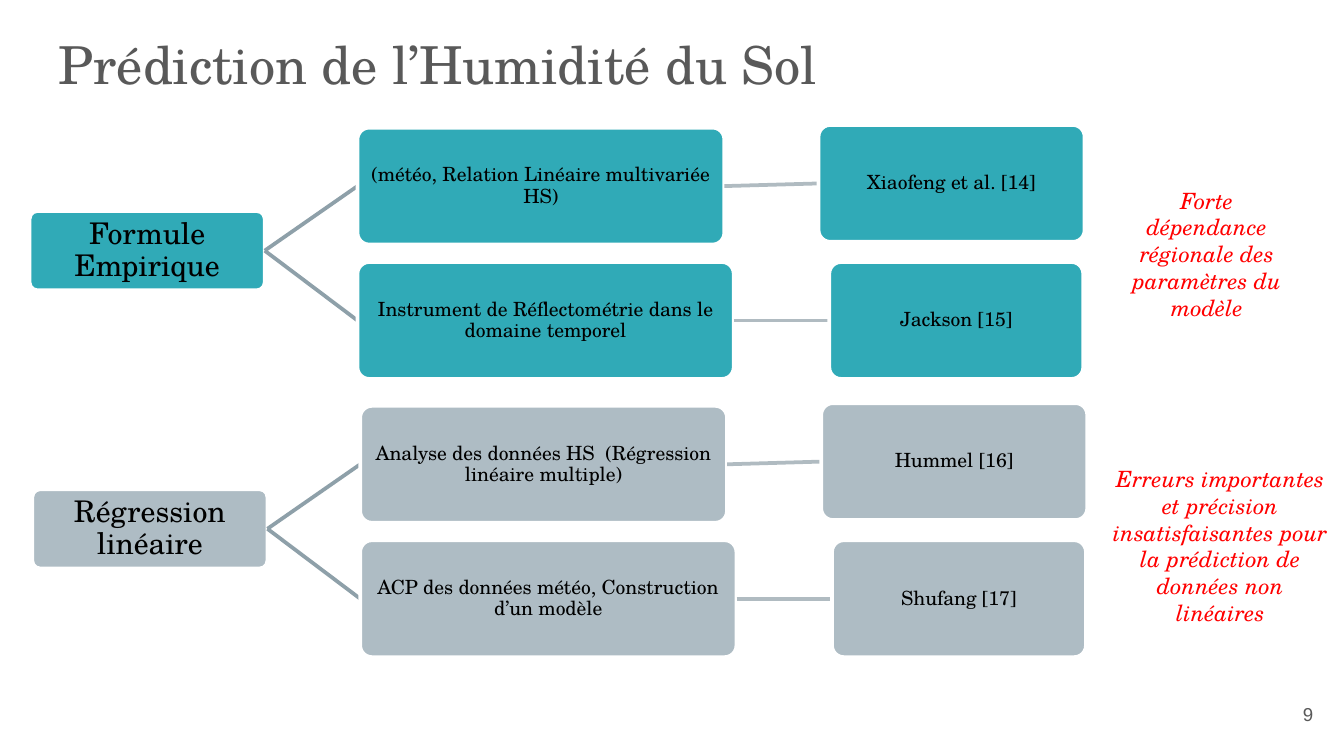
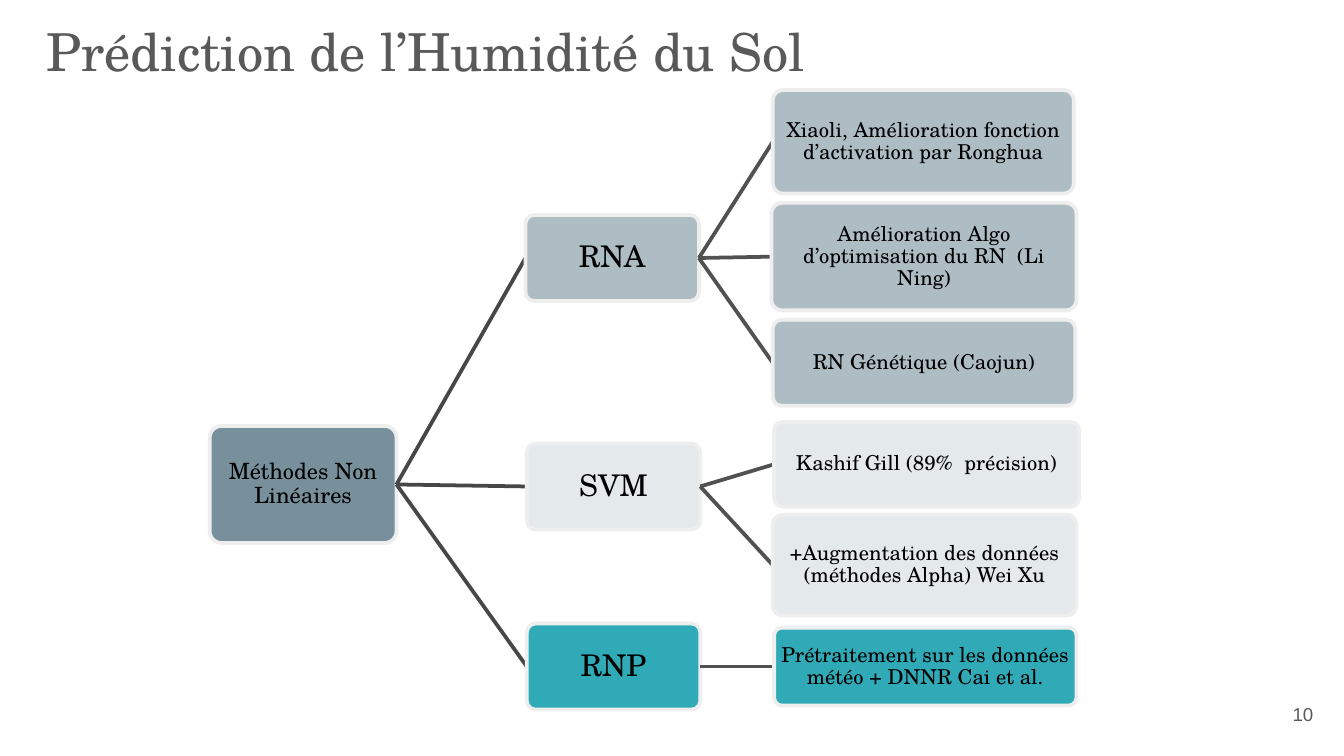
from dataclasses import dataclass, field

from lxml import etree
from pptx import Presentation
from pptx.dml.color import RGBColor
from pptx.enum.shapes import MSO_CONNECTOR, MSO_SHAPE
from pptx.enum.text import MSO_ANCHOR, PP_ALIGN
from pptx.oxml.ns import qn
from pptx.util import Emu, Pt

PX = 9144  # 100 px to the inch
SERIF, SANS = "TeX Gyre Schola", "Arial"
TITLE = "Prédiction de l’Humidité du Sol"
COLORS = {
    "black": "000000",
    "gray": "595959",
    "red": "FF0000",
    "teal": "0097A7",
    "silver": "AEBCC4",
    "slate": "78909C",
    "pale": "E4E9EB",
    "white": "FFFFFF",
    "frost": "EEEEEE",
    "blue_gray_link": "8EA0A9",
    "light_link": "B0BBC1",
    "dark_link": "474747",
    "charcoal_link": "515151",
}
OPACITY = {"teal": 81}


@dataclass
class Node:
    text: str
    place: tuple
    color: str
    children: list = field(default_factory=list)


@dataclass
class TreeStyle:
    """Font sizes and link colours are listed by depth in the tree."""
    outline: str
    sizes: tuple
    links: tuple


COMPARISON = TreeStyle("white", (16, 10.5, 10.5), ("blue_gray_link", "light_link"))
METHODS = TreeStyle("frost", (12, 16, 11), ("dark_link", "charcoal_link"))


def px(*lengths):
    return [Emu(length * PX) for length in lengths]


def rgb(name):
    return RGBColor.from_string(COLORS[name])


def write(shape, text, size, color="gray", font=SERIF, align=PP_ALIGN.LEFT,
          anchor=MSO_ANCHOR.TOP, insets=(10, 10), spacing=None, italic=None):
    """Insets are (horizontal, vertical)."""
    frame = shape.text_frame
    frame.word_wrap = True
    frame.vertical_anchor = anchor
    frame.margin_left = frame.margin_right = px(insets[0])[0]
    frame.margin_top = frame.margin_bottom = px(insets[1])[0]
    frame.text = text
    paragraph = frame.paragraphs[0]
    paragraph.alignment = align
    paragraph.line_spacing = spacing
    for run in paragraph.runs:
        run.font.name = font
        run.font.size = Pt(size)
        run.font.italic = italic
        run.font.color.rgb = rgb(color)


def add_text(slide, place, text, size, **options):
    write(slide.shapes.add_textbox(*px(*place)), text, size, **options)


def add_remark(slide, place, text):
    add_text(slide, place, text, 12, color="red", align=PP_ALIGN.CENTER,
             insets=(10, 5), italic=True)


def add_box(slide, node, size, outline):
    shape = slide.shapes.add_shape(MSO_SHAPE.ROUNDED_RECTANGLE, *px(*node.place))
    shape.adjustments[0] = 0.1
    shape.shadow.inherit = False
    shape.fill.solid()
    shape.fill.fore_color.rgb = rgb(node.color)
    if node.color in OPACITY:
        color = shape._element.spPr.find(qn("a:solidFill"))[0]
        etree.SubElement(color, qn("a:alpha")).set("val", str(OPACITY[node.color] * 1000))
    shape.line.color.rgb = rgb(outline)
    shape.line.width = Pt(2)
    write(shape, node.text, size, color="black", align=PP_ALIGN.CENTER,
          anchor=MSO_ANCHOR.MIDDLE, insets=(1, 1), spacing=0.9)
    return shape


def add_link(slide, color):
    link = slide.shapes.add_connector(MSO_CONNECTOR.STRAIGHT, 0, 0, 0, 0)
    link.line.color.rgb = rgb(color)
    link.line.width = Pt(2)
    etree.SubElement(link._element.spPr, qn("a:effectLst"))
    return link


def add_tree(slide, node, style, depth=0):
    """Each link is drawn before its child box, so the box covers its end."""
    box = add_box(slide, node, style.sizes[depth], style.outline)
    for child in node.children:
        link = add_link(slide, style.links[depth])
        child_box = add_tree(slide, child, style, depth + 1)
        link.begin_connect(box, 3)
        link.end_connect(child_box, 1)
    return box


def add_comparison(slide, color, family, rows, left, top):
    """A family of methods, its two approaches and the author of each."""
    places = [((244, 0, 273, 87), (587, -2, 198, 87)),
              ((244, 100, 280, 87), (595, 100, 189, 87))]
    approaches = []
    for (approach, author), boxes in zip(rows, places):
        first, second = [(left + x, top + y, w, h) for x, y, w, h in boxes]
        approaches.append(Node(approach, first, color, [Node(author, second, color)]))
    root = Node(family, (left, top + 62, 175, 59), color, approaches)
    add_tree(slide, root, COMPARISON)


def add_slide(presentation, number, left, top):
    slide = presentation.slides.add_slide(presentation.slide_layouts[6])
    add_text(slide, (927, 510, 60, 43), str(number), 10, font=SANS,
             align=PP_ALIGN.RIGHT, anchor=MSO_ANCHOR.MIDDLE)
    add_text(slide, (left, top, 932, 63), TITLE, 28)
    return slide


def add_linear_slide(presentation):
    slide = add_slide(presentation, 9, 34, 14)
    add_comparison(slide, "teal", "Formule Empirique", [
        ("(météo, Relation Linéaire multivariée HS)", "Xiaofeng et al. [14]"),
        ("Instrument de Réflectométrie dans le domaine temporel", "Jackson [15]"),
    ], 22, 95)
    add_comparison(slide, "silver", "Régression linéaire", [
        ("Analyse des données HS  (Régression linéaire multiple)", "Hummel [16]"),
        ("ACP des données météo, Construction d’un modèle", "Shufang [17]"),
    ], 24, 302)
    add_remark(slide, (830, 134, 136, 111),
               "Forte dépendance régionale des paramètres du modèle")
    add_remark(slide, (816, 341, 184, 131),
               "Erreurs importantes et précision insatisfaisantes pour "
               "la prédiction de données non linéaires")


def add_nonlinear_slide(presentation):
    slide = add_slide(presentation, 10, 25, 4)
    neural = Node("RNA", (391, 160, 129, 64), "silver", [
        Node("Xiaoli, Amélioration fonction d’activation par Ronghua",
             (575, 67, 224, 77), "silver"),
        Node("Amélioration Algo d’optimisation du RN  (Li Ning)",
             (574, 151, 227, 80), "silver"),
        Node("RN Génétique (Caojun)", (575, 238, 225, 64), "silver"),
    ])
    vector = Node("SVM", (392, 330, 129, 64), "pale", [
        Node("Kashif Gill (89%  précision)", (576, 314, 227, 63), "pale"),
        Node("+Augmentation des données (méthodes Alpha) Wei Xu",
             (575, 383, 226, 75), "pale"),
    ])
    deep = Node("RNP", (392, 464, 129, 64), "teal", [
        Node("Prétraitement sur les données météo + DNNR Cai et al.",
             (576, 467, 225, 58), "teal"),
    ])
    root = Node("Méthodes Non Linéaires", (156, 317, 139, 87), "slate",
                [neural, vector, deep])
    add_tree(slide, root, METHODS)


def main():
    presentation = Presentation()
    presentation.slide_width = px(1000)[0]
    presentation.slide_height = Emu(presentation.slide_width * 9 // 16)
    add_linear_slide(presentation)
    add_nonlinear_slide(presentation)
    presentation.save("out.pptx")


if __name__ == "__main__":
    main()
